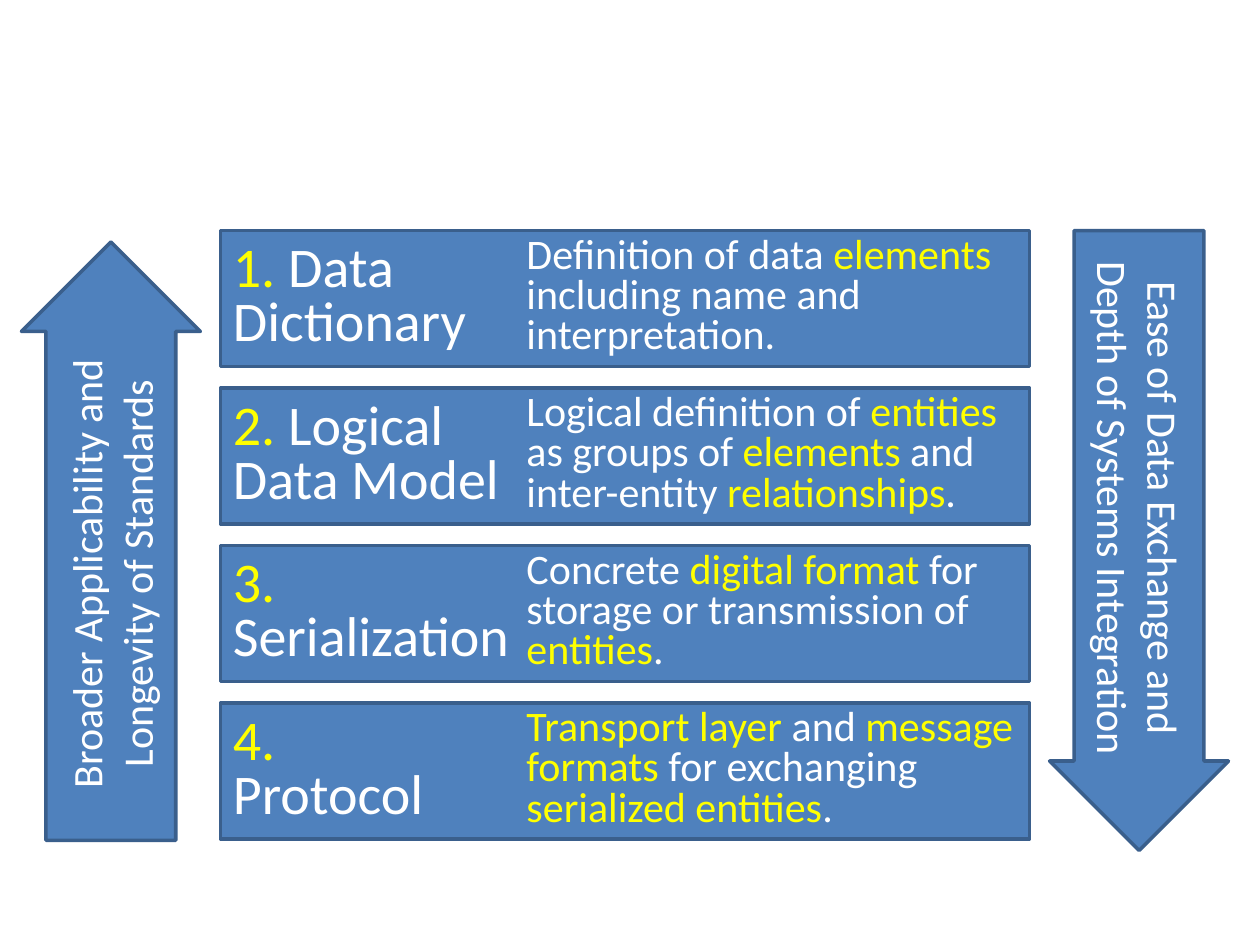
from pptx import Presentation
from pptx.dml.color import RGBColor
from pptx.enum.shapes import MSO_SHAPE as SHAPE
from pptx.enum.text import MSO_ANCHOR as ANCHOR, PP_ALIGN as ALIGN
from pptx.util import Inches, Pt

WHITE, YELLOW, BLUE, NAVY = "FFFFFF", "FFFF00", "4F81BD", "3A5F8C"

LAYERS = [
    ([("1. ", YELLOW), ("Data\nDictionary", WHITE)],
     [("Definition of data ", WHITE), ("elements", YELLOW),
      (" including name and interpretation.", WHITE)]),
    ([("2. ", YELLOW), ("Logical\nData Model", WHITE)],
     [("Logical definition of ", WHITE), ("entities ", YELLOW),
      ("as groups of ", WHITE), ("elements", YELLOW),
      (" and inter-entity ", WHITE), ("relationships", YELLOW), (".", WHITE)]),
    ([("3.\n", YELLOW), ("Serialization", WHITE)],
     [("Concrete ", WHITE), ("digital format ", YELLOW),
      ("for storage or transmission of ", WHITE), ("entities", YELLOW),
      (".", WHITE)]),
    ([("4.\n", YELLOW), ("Protocol", WHITE)],
     [("Transport layer ", YELLOW), ("and ", WHITE),
      ("message formats ", YELLOW), ("for exchanging ", WHITE),
      ("serialized entities", YELLOW), (".", WHITE)]),
]


def rgb(value):
    """Turn a hex string into a colour."""
    return RGBColor.from_string(value)


def write(sp, runs, size, anchor, align=ALIGN.LEFT, spacing=None):
    """Write coloured runs into one paragraph of a shape."""
    tf = sp.text_frame
    tf.word_wrap = True
    tf.vertical_anchor = anchor
    p = tf.paragraphs[0]
    p.alignment = align
    p.line_spacing = spacing
    for text, color in runs:
        for i, line in enumerate(text.split("\n")):
            if i:
                p.add_line_break()
            if line:
                r = p.add_run()
                r.text = line
                r.font.name = "Calibri"
                r.font.size = Pt(size)
                r.font.color.rgb = rgb(color)


def add_block(shapes, kind, x, y, w, h):
    """Add a blue outlined shape."""
    sp = shapes.add_shape(kind, Inches(x), Inches(y), Inches(w), Inches(h))
    sp.shadow.inherit = False
    sp.fill.solid()
    sp.fill.fore_color.rgb = rgb(BLUE)
    sp.line.color.rgb = rgb(NAVY)
    sp.line.width = Pt(2)
    return sp


def add_layer(s, title, description, x, y, w, h):
    """Add one grouped layer: a titled bar with its description."""
    shapes = s.shapes.add_group_shape().shapes
    bar = add_block(shapes, SHAPE.RECTANGLE, x, y, w, h)
    write(bar, title, 32, ANCHOR.MIDDLE, spacing=0.8)
    indent = 2.33
    box = shapes.add_textbox(Inches(x + indent), Inches(y),
                             Inches(w - indent), Inches(h))
    write(box, description, 24, ANCHOR.TOP, spacing=0.8)


def add_side_arrow(s, text, rotation, x, y, w, h):
    """Add a vertical arrow filling the box, as a rotated right arrow."""
    sp = add_block(s.shapes, SHAPE.RIGHT_ARROW,
                   x + (w - h) / 2, y + (h - w) / 2, h, w)
    sp.rotation = rotation
    sp.adjustments[0] = 0.725
    sp.adjustments[1] = 0.5
    write(sp, [(text, WHITE)], 24, ANCHOR.MIDDLE, ALIGN.CENTER)


def main():
    """Build the slide and save it."""
    prs = Presentation()
    prs.slide_width, prs.slide_height = Inches(10), Inches(7.5)
    s = prs.slides.add_slide(prs.slide_layouts[6])
    for i, (title, description) in enumerate(LAYERS):
        add_layer(s, title, description, 1.75, 1.83 + 1.25 * i, 6.42, 1.08)
    add_side_arrow(s, "Ease of Data Exchange and\nDepth of Systems Integration",
                   90, 8.33, 1.83, 1.42, 4.92)
    add_side_arrow(s, "Broader Applicability and\nLongevity of Standards",
                   270, 0.17, 1.92, 1.42, 4.75)
    prs.save("out.pptx")


if __name__ == "__main__":
    main()
